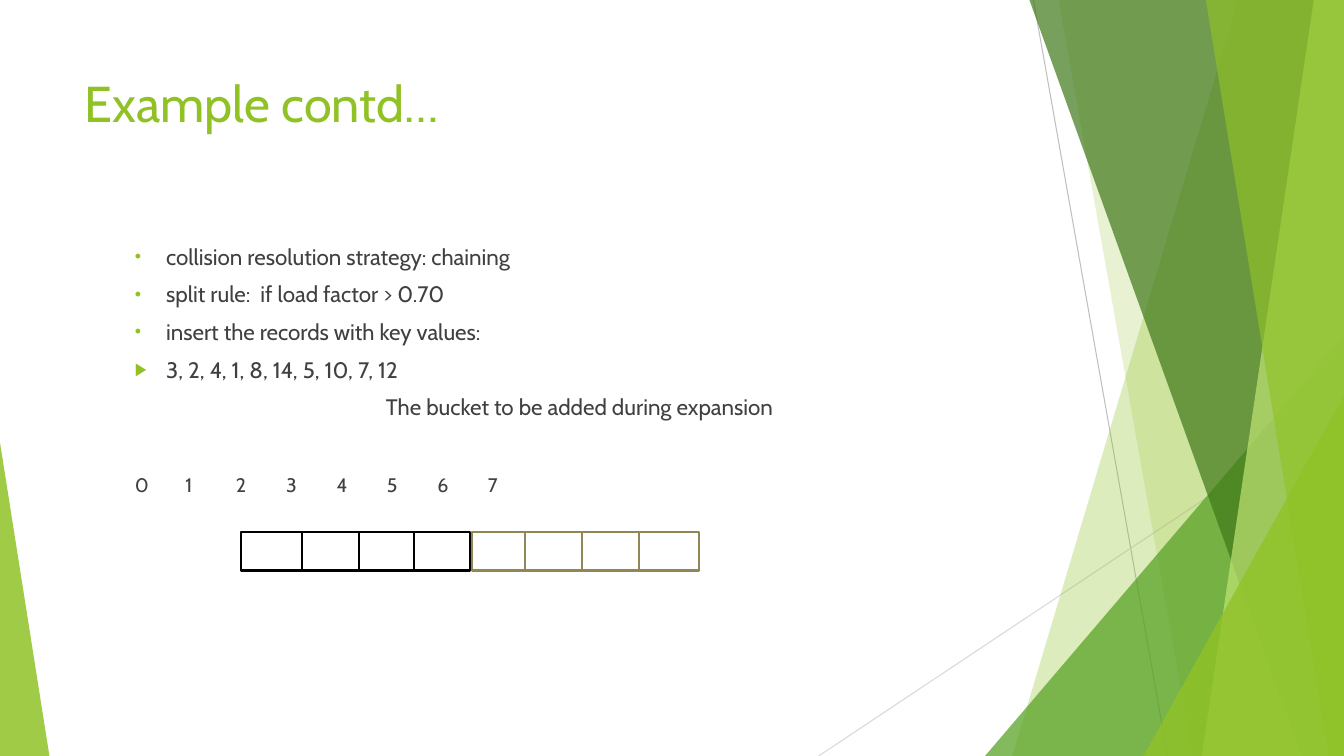
from lxml import etree
from pptx import Presentation, util as u
from pptx.dml.color import RGBColor
from pptx.enum import shapes, text
from pptx.oxml import ns

THEME = {
    "font": "Cabin",
    "green": "90C226", "leaf": "54A021", "forest": "3F7819", "lime": "C0E474",
    "body": "404040", "black": "000000", "gold": "918655", "white": "FFFFFF",
    "grey": "BFBFBF", "pale": "D9D9D9",
    "title_pt": 36, "body_pt": 16, "index_pt": 14,
}
W, H = 13.33, 7.5

TITLE = "Example contd…"
BULLETS = [
    ("•", "collision resolution strategy: chaining"),
    ("•", "split rule:  if load factor > 0.70"),
    ("•", "insert the records with key values:"),
    ("▶", "3, 2, 4, 1, 8, 14, 5, 10, 7, 12"),
]
EXPANSION = "The bucket to be added during expansion"
INDEXES = range(8)
INDEX_START, INDEX_STEP = 1.51, 0.45
BUCKETS = [
    ("black", [2.39, 3, 3.56, 4.11, 4.66]),
    ("gold", [4.68, 5.21, 5.77, 6.34, 6.93]),
]
BUCKET_TOP, BUCKET_HEIGHT = 5.28, 0.38

RAYS = [((10.25, 0), (11.58, H), "grey"), ((W, 4.03), (8.12, H), "pale")]
FACETS = [
    ("band", (12.28, 10.04), "green", 30),
    ("band", (10.5, 11.83), "green", 20),
    ("triangle", (9.77, 3.33, 3.56, 1), "leaf", 72),
    ("band", (10.21, 12.91), "forest", 70),
    ("band", (13.03, 11.92), "lime", 70),
    ("band", (11.96, 13.18), "green", 65),
    ("triangle", (11.34, 3.93, 1.99, 1), "green", 80),
    ("triangle", (0, 4.39, 0.49, 0), "green", 85),
]


def color(name):
    return RGBColor.from_string(THEME[name])


def apply(obj, values):
    for name, value in values.items():
        setattr(obj, name, value)


def child(parent, tag, **attrs):
    return etree.SubElement(parent, ns.qn(tag), attrs)


def place(sp, left, top, width, height):
    apply(sp, {"left": u.Inches(left), "top": u.Inches(top),
               "width": u.Inches(width), "height": u.Inches(height)})


def paint(sp, fill):
    sp.shadow.inherit = False
    sp.fill.solid()
    sp.fill.fore_color.rgb = color(fill)


def write(p, words, size, ink):
    r = p.add_run()
    r.text = words
    apply(r.font, {"name": THEME["font"], "size": u.Pt(THEME[size])})
    r.font.color.rgb = color(ink)


def indent(p, left, hanging=0):
    pPr = p._p.get_or_add_pPr()
    pPr.set("marL", str(u.Inches(left)))
    pPr.set("indent", str(u.Inches(-hanging)))
    return pPr


def add_ray(start, end, ink):
    line = s.shapes.add_connector(shapes.MSO_CONNECTOR.STRAIGHT,
                                  *map(u.Inches, start + end))
    line.line.color.rgb = color(ink)
    line.line.width = u.Pt(0.75)
    child(line._element.spPr, "a:effectLst")


def add_facet(kind, geometry, fill, opacity):
    if kind == "band":
        top, bottom = geometry
        outline = s.shapes.build_freeform(u.Inches(top), 0)
        outline.add_line_segments([tuple(map(u.Inches, point)) for point in
                                   ((W, 0), (W, H), (bottom, H))])
        sp = outline.convert_to_shape()
    else:
        left, top, width, apex = geometry
        sp = s.shapes.add_shape(shapes.MSO_SHAPE.ISOSCELES_TRIANGLE,
                                *map(u.Inches, (left, top, width, H - top)))
        sp.adjustments[0] = apex
    paint(sp, fill)
    sp.line.fill.background()
    ink = sp._element.spPr.find(ns.qn("a:solidFill"))[0]
    child(ink, "a:alpha", val=str(opacity * 1000))


def add_bucket(left, right, ink):
    sp = s.shapes.add_shape(shapes.MSO_SHAPE.RECTANGLE, *map(
        u.Inches, (left, BUCKET_TOP, right - left, BUCKET_HEIGHT)))
    paint(sp, "white")
    sp.line.color.rgb = color(ink)
    sp.line.width = u.Pt(1.5)


prs = Presentation()
apply(prs, {"slide_width": u.Inches(W), "slide_height": u.Inches(H)})
s = prs.slides.add_slide(prs.slide_layouts[5])

for ray in RAYS:
    add_ray(*ray)
for facet in FACETS:
    add_facet(*facet)

title = s.shapes.title
place(title, 0.74, 0.67, 9.4, 1.44)
tf = title.text_frame
apply(tf, {"vertical_anchor": text.MSO_ANCHOR.TOP, "word_wrap": True})
p = tf.paragraphs[0]
p.alignment = text.PP_ALIGN.LEFT
write(p, TITLE, "title_pt", "green")

body = s.shapes.add_textbox(0, 0, 0, 0)
place(body, 0.74, 2.36, 9.4, 4.24)
tf = body.text_frame
tf.word_wrap = True
for i, (mark, words) in enumerate(BULLETS):
    p = tf.add_paragraph() if i else tf.paragraphs[0]
    p.space_before = u.Pt(7.7 if i else 0)
    pPr = indent(p, 0.81, 0.31)
    child(child(pPr, "a:buClr"), "a:srgbClr", val=THEME["green"])
    child(pPr, "a:buSzPct", val="80000")
    child(pPr, "a:buFont", typeface="Arial")
    child(pPr, "a:buChar", char=mark)
    write(p, words, "body_pt", "body")

p = tf.add_paragraph()
p.space_before = u.Pt(7.7)
indent(p, 2.99)
write(p, EXPANSION, "body_pt", "body")

p = tf.add_paragraph()
p.space_before = u.Pt(37.5)
tabs = child(indent(p, 0), "a:tabLst")
for i in INDEXES:
    child(tabs, "a:tab", pos=str(u.Inches(INDEX_START + i * INDEX_STEP)), algn="ctr")
write(p, "".join(f"\t{i}" for i in INDEXES), "index_pt", "body")

for ink, edges in BUCKETS:
    for left, right in zip(edges, edges[1:]):
        add_bucket(left, right, ink)

prs.save("out.pptx")
